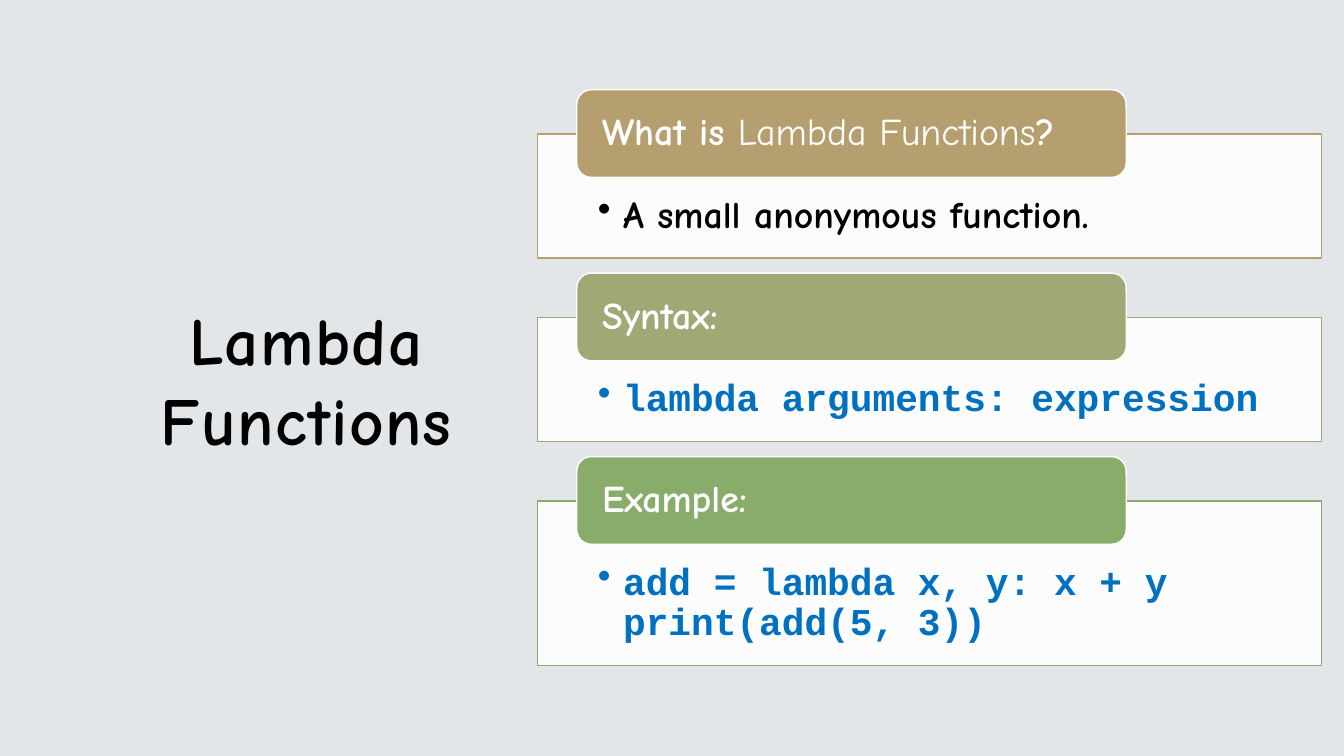
from dataclasses import dataclass

from lxml.etree import SubElement
from pptx import Presentation
from pptx.dml.color import RGBColor
from pptx.enum.shapes import MSO_SHAPE as Preset
from pptx.enum.text import MSO_ANCHOR as Anchor, PP_ALIGN as Align
from pptx.oxml.ns import qn
from pptx.util import Pt

PX = 9144


@dataclass(frozen=True)
class Theme:
    background: str = "E2E6E8"
    white: str = "FFFFFF"
    black: str = "000000"
    code: str = "0070C0"
    accents: tuple = ("B59F6F", "A2A776", "8AAC6A")
    text_font: str = "Comic Neue"
    code_font: str = "Courier New"
    title_size: int = 48
    body_size: int = 27
    panel_opacity: int = 90


THEME = Theme()
PANEL_LEFT, PANEL_TOP, PANEL_WIDTH, PANEL_GAP = 533, 133, 778, 59
HEADER_LEFT, HEADER_RISE, HEADER_WIDTH, HEADER_HEIGHT = 572, 44, 545, 87

SECTIONS = [
    ([("What is ", True), ("Lambda Functions", False), ("?", True)],
     "A small anonymous function.", THEME.text_font, THEME.black, 123),
    ([("Syntax:", True)],
     "lambda arguments: expression", THEME.code_font, THEME.code, 123),
    ([("Example:", True)],
     "add = lambda x, y: x + y\vprint(add(5, 3))", THEME.code_font, THEME.code, 163),
]


def color(value):
    return RGBColor.from_string(value)


def box(*lengths):
    return [length * PX for length in lengths]


def format_run(run, font, size, value, bold=True):
    run.font.name = font
    run.font.size = Pt(size)
    run.font.bold = bold
    run.font.color.rgb = color(value)


def set_frame(frame, anchor, insets):
    frame.word_wrap = True
    frame.vertical_anchor = anchor
    frame.margin_left, frame.margin_top, frame.margin_right, frame.margin_bottom = box(*insets)


def add_block(slide, preset, bounds, fill, line):
    shape = slide.shapes.add_shape(preset, *box(*bounds))
    shape.shadow.inherit = False
    shape.fill.solid()
    shape.fill.fore_color.rgb = color(fill)
    shape.line.color.rgb = color(line)
    shape.line.width = Pt(1)
    return shape


def set_opacity(shape, percent):
    fill = shape.fill._xPr.find(qn("a:solidFill"))
    SubElement(fill[0], qn("a:alpha"), val=str(percent * 1000))


def set_bullet(paragraph, indent):
    properties = paragraph._p.get_or_add_pPr()
    properties.set("marL", str(indent * PX))
    properties.set("indent", str(-indent * PX))
    SubElement(properties, qn("a:buChar"), char="•")


def add_title(slide, text):
    shape = slide.shapes.add_textbox(*box(97, 107, 414, 537))
    frame = shape.text_frame
    set_frame(frame, Anchor.MIDDLE, (10, 5, 10, 5))
    frame.text = text
    paragraph = frame.paragraphs[0]
    paragraph.alignment = Align.CENTER
    for run in paragraph.runs:
        format_run(run, THEME.text_font, THEME.title_size, THEME.black)
        run.font._element.set("spc", "100")


def add_panel(slide, top, height, accent, text, font, text_color):
    bounds = (PANEL_LEFT, top, PANEL_WIDTH, height)
    shape = add_block(slide, Preset.RECTANGLE, bounds, THEME.white, accent)
    set_opacity(shape, THEME.panel_opacity)
    frame = shape.text_frame
    set_frame(frame, Anchor.TOP, (60, 61, 60, 21))
    frame.text = text
    paragraph = frame.paragraphs[0]
    paragraph.alignment = Align.LEFT
    paragraph.line_spacing = 0.9
    set_bullet(paragraph, 25)
    for run in paragraph.runs:
        format_run(run, font, THEME.body_size, text_color)


def add_header(slide, panel_top, accent, segments):
    bounds = (HEADER_LEFT, panel_top - HEADER_RISE, HEADER_WIDTH, HEADER_HEIGHT)
    shape = add_block(slide, Preset.ROUNDED_RECTANGLE, bounds, accent, THEME.white)
    set_frame(shape.text_frame, Anchor.MIDDLE, (21, 0, 21, 0))
    paragraph = shape.text_frame.paragraphs[0]
    paragraph.alignment = Align.LEFT
    paragraph.line_spacing = 0.9
    for text, bold in segments:
        run = paragraph.add_run()
        run.text = text
        format_run(run, THEME.text_font, THEME.body_size, THEME.white, bold)


def main():
    presentation = Presentation()
    presentation.slide_width, presentation.slide_height = box(1333, 750)
    slide = presentation.slides.add_slide(presentation.slide_layouts[6])
    slide.background.fill.solid()
    slide.background.fill.fore_color.rgb = color(THEME.background)

    add_title(slide, "Lambda Functions")
    top = PANEL_TOP
    for accent, section in zip(THEME.accents, SECTIONS):
        segments, text, font, text_color, height = section
        add_panel(slide, top, height, accent, text, font, text_color)
        add_header(slide, top, accent, segments)
        top += height + PANEL_GAP

    presentation.save("out.pptx")


if __name__ == "__main__":
    main()
